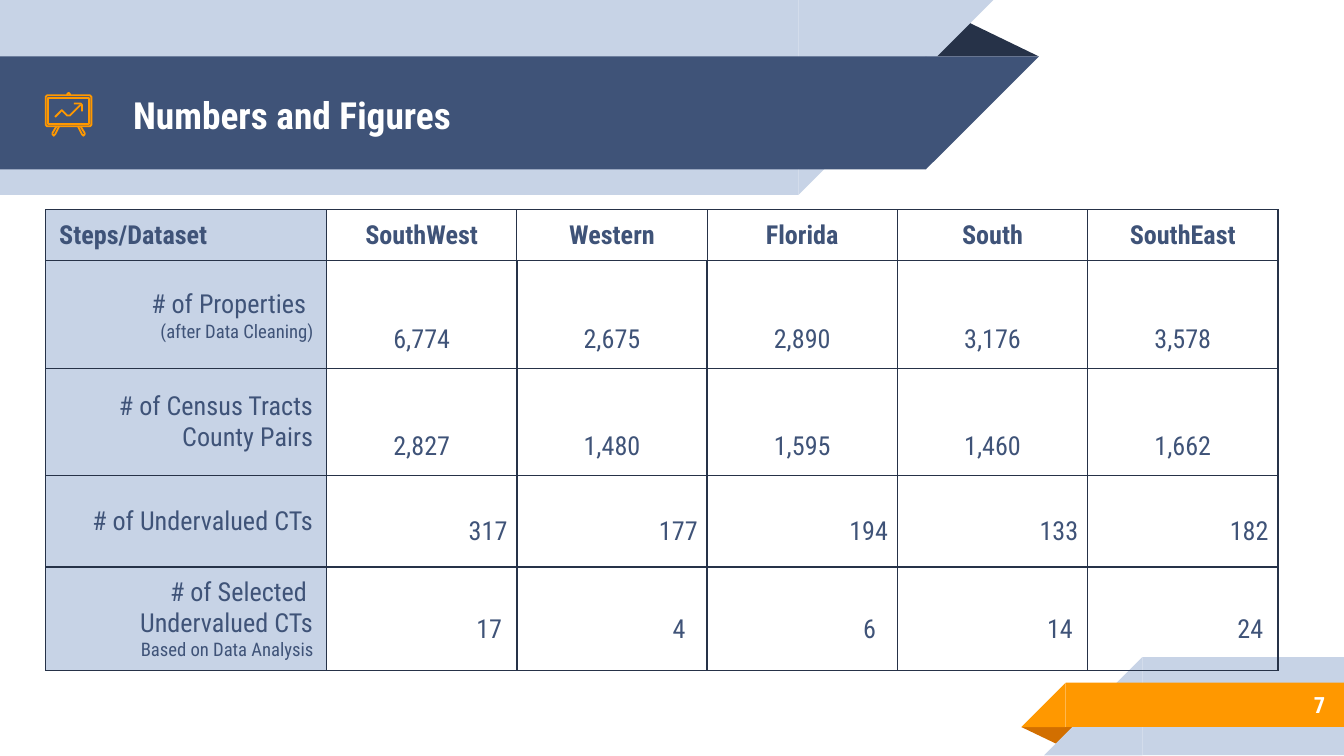
import pptx
import pptx.util
import pptx.dml.color
import pptx.enum.shapes
import pptx.enum.text
import pptx.oxml

Inches = pptx.util.Inches
Pt = pptx.util.Pt
RGBColor = pptx.dml.color.RGBColor
MSO_SHAPE = pptx.enum.shapes.MSO_SHAPE
ALIGN = pptx.enum.text.PP_ALIGN
ANCHOR = pptx.enum.text.MSO_ANCHOR

NAVY = RGBColor(0x26, 0x32, 0x48)
BLUE = RGBColor(0x3F, 0x53, 0x78)
PALE = RGBColor(0xC7, 0xD3, 0xE6)
ORANGE = RGBColor(0xFF, 0x98, 0x00)
RUST = RGBColor(0xD2, 0x6F, 0x00)
WHITE = RGBColor(0xFF, 0xFF, 0xFF)
FONT = "Roboto Condensed"


def add_run(paragraph, text, size, color, bold, align):
    paragraph.alignment = align
    run = paragraph.add_run()
    run.text = text
    font_format = {"name": FONT, "size": Pt(size), "bold": bold}
    for attribute, value in font_format.items():
        setattr(run.font, attribute, value)
    run.font.color.rgb = color


def set_borders(cell, left, right):
    properties = cell._tc.get_or_add_tcPr()
    for side, width in zip("LRTB", (left, right, 0.75, 0.75)):
        properties.append(pptx.oxml.parse_xml(
            f'<a:ln{side} xmlns:a="http://schemas.openxmlformats.org/drawingml/2006/main" '
            f'w="{Pt(width)}"><a:solidFill><a:srgbClr val="{NAVY}"/></a:solidFill></a:ln{side}>'))


deck = pptx.Presentation()
deck.slide_width = Inches(10)
deck.slide_height = Inches(10 * 9 / 16)
slide = deck.slides.add_slide(deck.slide_layouts[5])
shapes = slide.shapes

RECT, FOLD, SLANT = MSO_SHAPE.RECTANGLE, MSO_SHAPE.ISOSCELES_TRIANGLE, MSO_SHAPE.RIGHT_TRIANGLE
ribbons = [
    (FOLD, 6.88, 0.14, 0.85, 0.28, NAVY, 0),
    (RECT, 0, 0, 5.94, 1.45, PALE, 180),
    (SLANT, 5.94, 0, 1.45, 1.45, PALE, 180),
    (RECT, 0, 0.42, 6.89, 0.84, BLUE, 180),
    (SLANT, 6.89, 0.42, 0.84, 0.84, BLUE, 180),
    (FOLD, 7.6, 5.41, 0.43, 0.14, RUST, 180),
    (RECT, 8.5, 4.89, 1.5, 0.73, PALE, 0),
    (SLANT, 7.77, 4.89, 0.73, 0.73, PALE, 0),
    (RECT, 7.93, 5.08, 2.08, 0.33, ORANGE, 0),
    (SLANT, 7.6, 5.08, 0.33, 0.33, ORANGE, 0),
]
for kind, left, top, width, height, color, rotation in ribbons:
    ribbon = shapes.add_shape(kind, Inches(left), Inches(top), Inches(width), Inches(height))
    ribbon.shadow.inherit = False
    ribbon.fill.solid()
    ribbon.fill.fore_color.rgb = color
    ribbon.line.fill.background()
    ribbon.rotation = rotation
    if kind == FOLD:
        ribbon.adjustments[0] = 0.32
    else:
        ribbon._element.spPr.xfrm.set("flipH", "1")

heading = shapes.title
shapes.element.append(heading._element)
page_number = shapes.add_textbox(0, 0, 0, 0)
labels = [
    (heading, (0.89, 0.43, 5.75, 0.84), "Numbers and Figures", 20, ALIGN.LEFT),
    (page_number, (8.33, 5.07, 1.63, 0.35), "7", 12, ALIGN.RIGHT),
]
for label, box, text, size, align in labels:
    for attribute, value in zip(("left", "top", "width", "height"), box):
        setattr(label, attribute, Inches(value))
    frame_format = {"word_wrap": True, "vertical_anchor": ANCHOR.MIDDLE,
                    "auto_size": pptx.enum.text.MSO_AUTO_SIZE.NONE}
    frame_format.update({f"margin_{side}": Inches(0.1) for side in ("left", "top", "right", "bottom")})
    for attribute, value in frame_format.items():
        setattr(label.text_frame, attribute, value)
    add_run(label.text_frame.paragraphs[0], text, size, WHITE, True, align)

easel_strokes = [
    ([(35, 71), (67, 71), (68, 72), (68, 93), (67, 94), (35, 94), (34, 93), (34, 72)], True),
    ([(50, 71), (50, 70), (51, 69), (52, 70), (52, 71)], False),
    ([(42, 94), (39, 99), (39, 100), (40, 101), (41, 100), (44, 94)], False),
    ([(58, 94), (61, 100), (62, 101), (63, 100), (63, 99), (60, 94)], False),
    ([(36, 73), (36, 92), (66, 92), (66, 73)], True),
    ([(60, 78), (52, 86), (51, 86), (50, 86), (46, 82), (41, 87)], False),
    ([(55, 77), (60, 77), (61, 78), (61, 83)], False),
]
for points, closed in easel_strokes:
    builder = shapes.build_freeform(*points[0], scale=Inches(0.01))
    builder.add_line_segments(points[1:], close=closed)
    stroke = builder.convert_to_shape()
    stroke.shadow.inherit = False
    stroke.fill.background()
    stroke.line.color.rgb = ORANGE
    stroke.line.width = Pt(0.96)

regions = ["SouthWest", "Western", "Florida", "South", "SouthEast"]
steps = [
    ([[("# of Properties", 14), (" ", 16)], [("(after Data Cleaning)", 10)]],
     ["6,774", "2,675", "2,890", "3,176", "3,578"], ALIGN.CENTER, 0.01, 0.1),
    ([[("# of Census Tracts County Pairs", 14)]],
     ["2,827", "1,480", "1,595", "1,460", "1,662"], ALIGN.CENTER, 0.01, 0.1),
    ([[("# of Undervalued CTs", 14)]],
     ["317", "177", "194", "133", "182"], ALIGN.RIGHT, 0.07, 0.15),
    ([[("# of Selected ", 14)], [("Undervalued CTs", 14)], [("Based on Data Analysis", 10)]],
     ["17", "4", "6", "14", "24"], ALIGN.RIGHT, 0.11, 0.19),
]
row_heights = [0.38, 0.8, 0.8, 0.68, 0.77]
table_width, step_width = 9.17, 2.09
region_width = (table_width - step_width) / len(regions)
column_widths = [step_width] + [region_width] * len(regions)
figures = shapes.add_table(len(row_heights), len(column_widths), Inches(0.34), Inches(1.56),
                           Inches(table_width), Inches(sum(row_heights))).table
figures.first_row = False
figures.horz_banding = False
for row, height in zip(figures.rows, row_heights):
    row.height = Inches(height)
for column, width in zip(figures.columns, column_widths):
    column.width = Inches(width)

for row in range(len(row_heights)):
    for column in range(len(column_widths)):
        cell = figures.cell(row, column)
        margins = (0.1, 0.07, 0.1, 0.07)
        anchor = ANCHOR.MIDDLE
        if row == 0:
            lines = [[(regions[column - 1] if column else "Steps/Dataset", 14)]]
            align = ALIGN.CENTER if column else ALIGN.LEFT
        else:
            lines, counts, count_align, right, bottom = steps[row - 1]
            align = ALIGN.RIGHT
            if column:
                count = counts[column - 1]
                lines, align, anchor = [[(count, 14)]], count_align, ANCHOR.BOTTOM
                margins = (0.01, 0.01, right + 0.05 * (len(count) == 1), bottom)
        set_borders(cell, 1 if row and column > 1 else 0.75, 1 if row and column else 0.75)
        if column == 0:
            cell.fill.solid()
            cell.fill.fore_color.rgb = PALE
        else:
            cell.fill.background()
        cell.vertical_anchor = anchor
        for side, margin in zip(("left", "top", "right", "bottom"), margins):
            setattr(cell, f"margin_{side}", Inches(margin))
        for index, line in enumerate(lines):
            paragraph = cell.text_frame.add_paragraph() if index else cell.text_frame.paragraphs[0]
            for text, size in line:
                add_run(paragraph, text, size, BLUE, row == 0, align)

deck.save("out.pptx")
